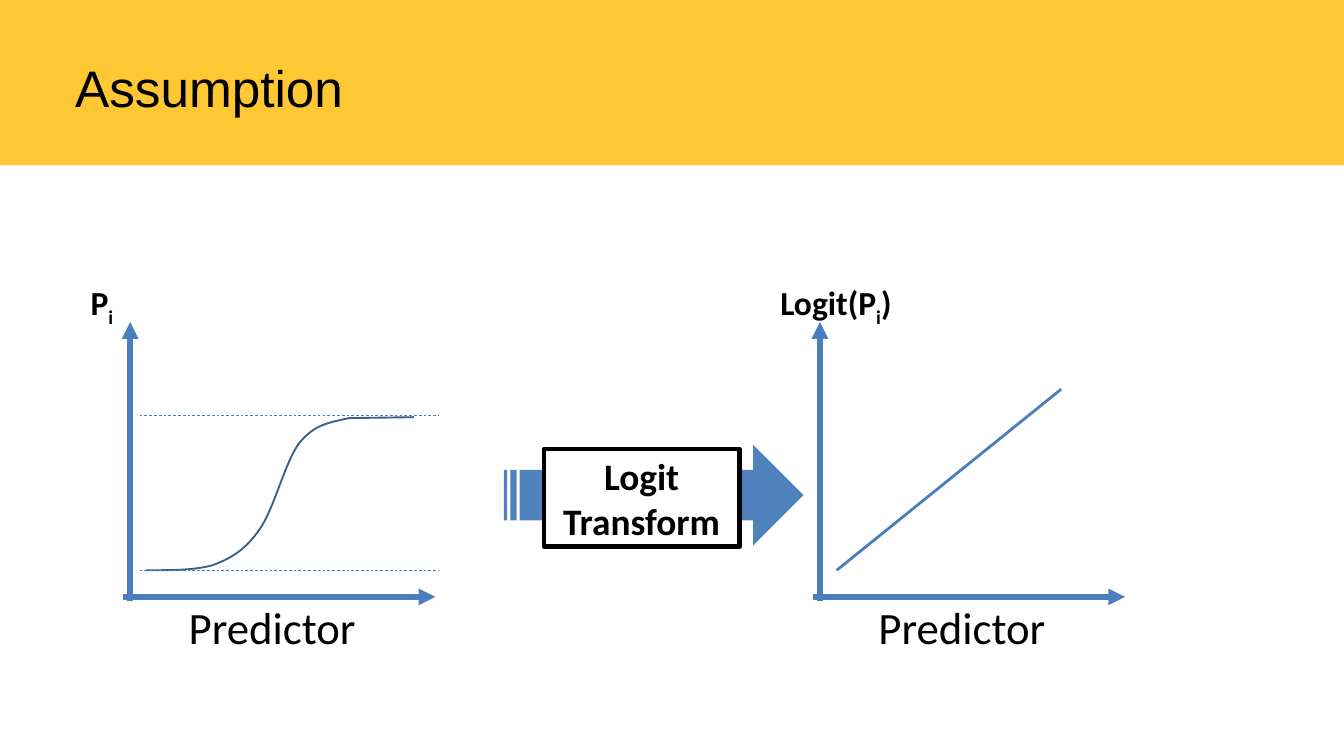
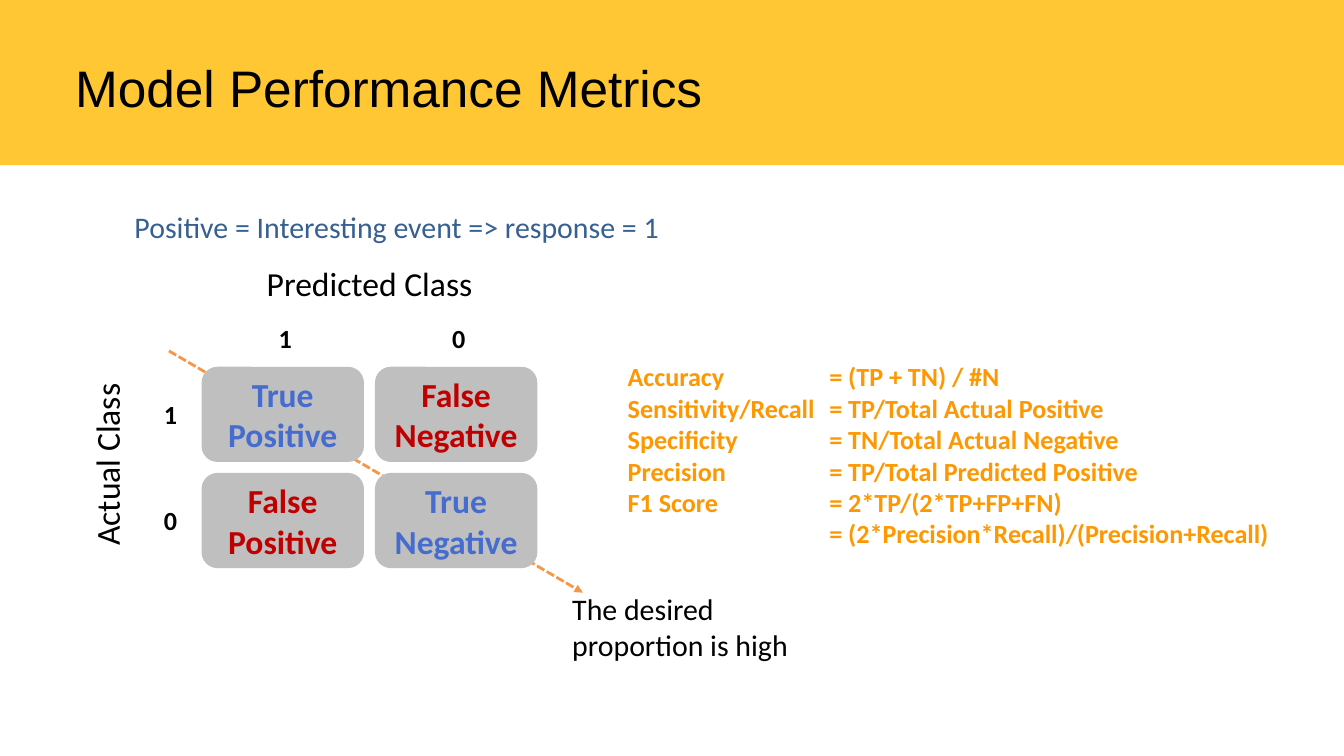
from dataclasses import dataclass
from itertools import product

from lxml.etree import SubElement
from pptx import Presentation
from pptx.dml.color import RGBColor
from pptx.enum.dml import MSO_LINE
from pptx.enum.shapes import MSO_CONNECTOR, MSO_SHAPE
from pptx.enum.text import MSO_ANCHOR, PP_ALIGN
from pptx.oxml.ns import qn
from pptx.util import Pt


@dataclass(frozen=True)
class Theme:
    band: str = "FFC733"
    ink: str = "000000"
    paper: str = "FFFFFF"
    axis: str = "4B7EBC"
    curve: str = "3A5F8C"
    arrow: str = "4F81BD"
    hint: str = "376092"
    trend: str = "F79646"
    metric: str = "FE9802"
    cell: str = "BFBFBF"
    good: str = "456CCE"
    bad: str = "C00000"
    head: str = "Arial"
    body: str = "Calibri"
    title: float = 55
    large: float = 48
    step: float = 40
    label: float = 36
    note: float = 32
    small: float = 28


T = Theme()
STEPS = 16
BENDS = [
    ((46.5, 266), (66.5, 266), (87, 261)),
    ((107, 254), (123, 244.5), (138, 223)),
    ((154, 201.5), (165.5, 150.5), (181, 130)),
    ((197, 110), (212, 108), (234.5, 103)),
]
CELLS = [
    [("True Positive", T.good), ("False Negative", T.bad)],
    [("False Positive", T.bad), ("True Negative", T.good)],
]
METRICS = [
    ("Accuracy", "(TP + TN) / #N"),
    ("Sensitivity/Recall", "TP/Total Actual Positive"),
    ("Specificity", "TN/Total Actual Negative"),
    ("Precision", "TP/Total Predicted Positive"),
    ("F1 Score", "2*TP/(2*TP+FP+FN)"),
    ("", "(2*Precision*Recall)/(Precision+Recall)"),
]


def rgb(code):
    return RGBColor.from_string(code)


def style(item, size, color=T.ink, bold=False, font=T.body):
    item.font.size = Pt(size)
    item.font.name = font
    item.font.bold = bold
    item.font.color.rgb = rgb(color)


def write(frame, words, size, color=T.ink, bold=False, font=T.body,
          align=PP_ALIGN.LEFT):
    frame.text = words
    for para in frame.paragraphs:
        para.alignment = align
        for run in para.runs:
            style(run, size, color, bold, font)


def text(slide, box, words, size, wrap=True, **look):
    item = slide.shapes.add_textbox(*map(Pt, box))
    item.text_frame.word_wrap = wrap
    write(item.text_frame, words, size, **look)
    return item


def shape(slide, kind, box, fill, edge=None, width=0):
    item = slide.shapes.add_shape(kind, *map(Pt, box))
    item.shadow.inherit = False
    item.fill.solid()
    item.fill.fore_color.rgb = rgb(fill)
    if edge:
        item.line.color.rgb = rgb(edge)
        item.line.width = Pt(width)
    else:
        item.line.fill.background()
    item.text_frame.word_wrap = True
    item.text_frame.vertical_anchor = MSO_ANCHOR.MIDDLE
    return item


def line(slide, start, end, color, width, dash=None, tip=False):
    item = slide.shapes.add_connector(
        MSO_CONNECTOR.STRAIGHT, *map(Pt, (*start, *end)))
    item.line.color.rgb = rgb(color)
    item.line.width = Pt(width)
    if dash:
        item.line.dash_style = dash
    props = item._element.spPr
    if tip:
        SubElement(props.find(qn("a:ln")), qn("a:tailEnd"), type="triangle")
    SubElement(props, qn("a:effectLst"))


def page(deck, title):
    slide = deck.slides.add_slide(deck.slide_layouts[6])
    shape(slide, MSO_SHAPE.RECTANGLE, (0, 0, 1440, 177), T.band)
    frame = text(slide, (80.5, 66, 1099, 63), title, T.title,
                 font=T.head).text_frame
    frame.margin_left = frame.margin_right = 0
    frame.margin_top = frame.margin_bottom = 0
    frame.paragraphs[0].line_spacing = Pt(60.5)
    return slide


def plot(slide, x, y, name, close=""):
    line(slide, (x, y + 299), (x, y), T.axis, 6, tip=True)
    line(slide, (x - 7.5, y + 294.5), (x + 327, y + 294.5), T.axis, 6, tip=True)
    item = text(slide, (x - 49.5, y - 46, 205 if close else 67, 51),
                name, T.label, bold=True)
    para = item.text_frame.paragraphs[0]
    for part, base in (("i", "-25000"), (close, "0")):
        if part:
            run = para.add_run()
            run.text = part
            style(run, T.label, bold=True)
            run._r.get_or_add_rPr().set("baseline", base)
    text(slide, (x, y + 294.5, 304.5, 65.5), "Predictor", T.large,
         align=PP_ALIGN.CENTER)


def bend(start, one, two, end):
    for step in range(1, STEPS + 1):
        t = step / STEPS
        u = 1 - t
        yield tuple(u**3 * a + 3 * u * u * t * b + 3 * u * t * t * c + t**3 * d
                    for a, b, c, d in zip(start, one, two, end))


def sigmoid(slide, x, y):
    dots = [(17, 266)]
    for knots in BENDS:
        dots += bend(dots[-1], *knots)
    dots.append((304, 102))
    spots = [(Pt(x + a), Pt(y + b)) for a, b in dots]
    pen = slide.shapes.build_freeform(*spots[0])
    pen.add_line_segments(spots[1:], close=False)
    item = pen.convert_to_shape()
    item.shadow.inherit = False
    item.fill.background()
    item.line.color.rgb = rgb(T.curve)
    item.line.width = Pt(2)
    for level in (266, 100):
        line(slide, (x + 10, y + level), (x + 331, y + level), T.axis, 0.75,
             MSO_LINE.DASH)


def logit(slide, x, y):
    shape(slide, MSO_SHAPE.STRIPED_RIGHT_ARROW, (x, y, 321, 108), T.arrow)
    item = shape(slide, MSO_SHAPE.RECTANGLE, (x + 42.5, y + 4.5, 210, 104.5),
                 T.paper, T.ink, 4.5)
    write(item.text_frame, "Logit Transform", T.step, bold=True,
          align=PP_ALIGN.CENTER)


def matrix(slide, x, y):
    wide, high, gap = 174, 102, 11.75
    line(slide, (x - 35, y - 17), (x + 408.5, y + 242), T.trend, 3,
         MSO_LINE.SQUARE_DOT, True)
    text(slide, (x + 390, y + 236, 251, 85), "The desired proportion is high",
         T.note)
    for row, col in product(range(2), repeat=2):
        words, color = CELLS[row][col]
        item = shape(slide, MSO_SHAPE.ROUNDED_RECTANGLE,
                     (x + col * (wide + gap), y + row * (high + gap),
                      wide, high), T.cell)
        write(item.text_frame, words, T.label, color, True,
              align=PP_ALIGN.CENTER)
    text(slide, (x, y - 115, 360, 51), "Predicted Class", T.label,
         align=PP_ALIGN.CENTER)
    side = text(slide, (x - 281.5, y + 79.5, 360, 51), "Actual Class", T.label,
                align=PP_ALIGN.CENTER)
    side.rotation = 270
    for rank, mark in enumerate("10"):
        for left, top in ((75.5 + rank * (wide + gap), -51),
                          (-47.5, 30.5 + rank * (high + gap))):
            text(slide, (x + left, y + top, 32, 41), mark, T.small, bold=True)


def metrics(slide, box):
    words = "\n".join(f"{name}\t= {rule}" for name, rule in METRICS)
    item = text(slide, box, words, T.small, color=T.metric, bold=True)
    for para in item.text_frame.paragraphs:
        tabs = SubElement(para._p.get_or_add_pPr(), qn("a:tabLst"))
        SubElement(tabs, qn("a:tab"), pos=str(Pt(216)), algn="l")


def assume(deck):
    slide = page(deck, "Assumption")
    plot(slide, 139.5, 345, "P")
    sigmoid(slide, 139.5, 345)
    plot(slide, 878.5, 345, "Logit(P", ")")
    line(slide, (896.5, 611), (1137, 417), T.axis, 3)
    logit(slide, 540, 476.5)


def score(deck):
    slide = page(deck, "Model Performance Metrics")
    metrics(slide, (665.5, 383, 726, 211))
    text(slide, (137, 220.5, 583, 46),
         "Positive = Interesting event => response = 1", T.note, wrap=False,
         color=T.hint)
    matrix(slide, 216, 393)


def main():
    deck = Presentation()
    deck.slide_width, deck.slide_height = Pt(1440), Pt(810)
    assume(deck)
    score(deck)
    deck.save("out.pptx")


if __name__ == "__main__":
    main()
